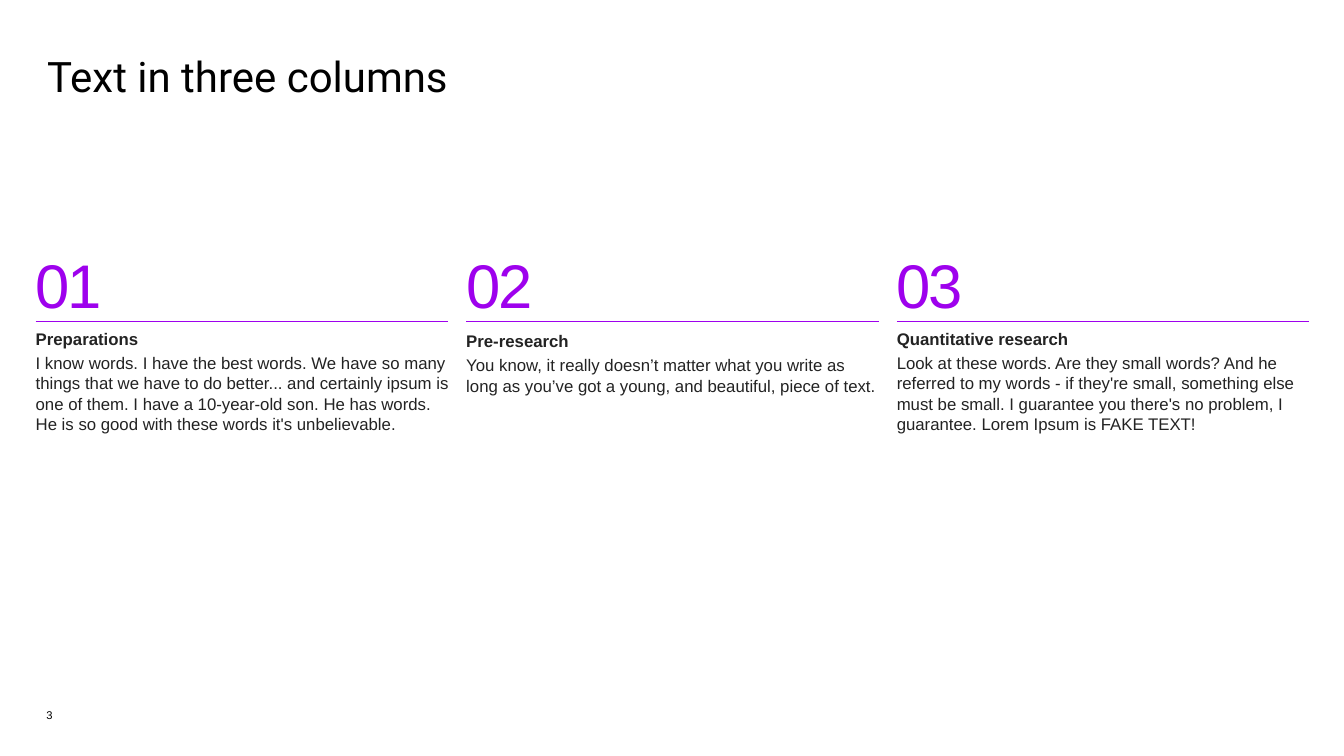
from dataclasses import dataclass
from typing import Optional

from lxml.etree import SubElement
from pptx import Presentation
from pptx.dml.color import RGBColor
from pptx.enum.shapes import MSO_CONNECTOR
from pptx.enum.text import MSO_ANCHOR, MSO_AUTO_SIZE, PP_ALIGN
from pptx.oxml.ns import qn
from pptx.slide import Slide
from pptx.text.text import TextFrame, _Paragraph as Paragraph, _Run as Run
from pptx.util import Cm, Pt

BLACK = RGBColor(0x00, 0x00, 0x00)
INK = RGBColor(0x23, 0x23, 0x23)
PURPLE = RGBColor(0x9E, 0x01, 0xED)

LEFT = 0.9
PITCH = 10.85
NUMBER_TOP = 6.22
RULE_TOP = 8.1
RULE_WIDTH = 10.39
BODY_TOP = 8.28
BODY_WIDTH = 10.46


@dataclass
class Column:
    heading: str
    body: str
    body_height: float
    heading_spacing: Optional[Pt] = None


COLUMNS = [
    Column(
        "Preparations",
        "I know words. I have the best words. We have so many things that we have "
        "to do better... and certainly ipsum is one of them. I have a 10-year-old "
        "son. He has words. He is so good with these words it's unbelievable.",
        3.71,
    ),
    Column(
        "Pre-research",
        "You know, it really doesn’t matter what you write as long as you’ve got "
        "a young, and beautiful, piece of text.",
        1.7,
        Pt(16),
    ),
    Column(
        "Quantitative research",
        "Look at these words. Are they small words? And he referred to my words - "
        "if they're small, something else must be small. I guarantee you there's "
        "no problem, I guarantee. Lorem Ipsum is FAKE TEXT!",
        2.67,
    ),
]


def clear_margins(tf: TextFrame) -> None:
    tf.margin_left = tf.margin_top = tf.margin_right = tf.margin_bottom = 0
    tf.vertical_anchor = MSO_ANCHOR.TOP
    tf.word_wrap = True


def write(p: Paragraph, text: str, size: float, color: RGBColor,
          bold: bool = False, font: str = "Arial") -> Run:
    p.text = text
    p.alignment = PP_ALIGN.LEFT
    r = p.runs[0]
    r.font.name = font
    r.font.size = Pt(size)
    r.font.bold = bold
    r.font.color.rgb = color
    return r


def add_text_box(s: Slide, left: float, top: float,
                 width: float, height: float) -> TextFrame:
    tf = s.shapes.add_textbox(Cm(left), Cm(top), Cm(width), Cm(height)).text_frame
    clear_margins(tf)
    return tf


def add_title(s: Slide, text: str) -> None:
    sp = s.shapes.title
    sp.left, sp.top, sp.width, sp.height = Cm(1.19), Cm(1.42), Cm(31.5), Cm(1.22)
    tf = sp.text_frame
    clear_margins(tf)
    tf.auto_size = MSO_AUTO_SIZE.NONE
    write(tf.paragraphs[0], text, 30, BLACK, font="Roboto")
    tf.paragraphs[0].line_spacing = 0.9


def add_rule(s: Slide, left: float) -> None:
    rule = s.shapes.add_connector(MSO_CONNECTOR.STRAIGHT, Cm(left), Cm(RULE_TOP),
                                  Cm(left + RULE_WIDTH), Cm(RULE_TOP))
    rule.line.color.rgb = PURPLE
    rule.line.width = Pt(0.5)
    SubElement(rule._element.spPr, qn("a:effectLst"))


def add_column(s: Slide, index: int, column: Column) -> None:
    left = LEFT + index * PITCH

    number = add_text_box(s, left, NUMBER_TOP, 2, 1.88)
    number.auto_size = MSO_AUTO_SIZE.SHAPE_TO_FIT_TEXT
    r = write(number.paragraphs[0], f"{index + 1:02d}", 44, PURPLE)
    r.font._element.set("spc", "-150")

    add_rule(s, left)

    tf = add_text_box(s, left, BODY_TOP, BODY_WIDTH, column.body_height)
    tf.auto_size = MSO_AUTO_SIZE.SHAPE_TO_FIT_TEXT
    heading = tf.paragraphs[0]
    write(heading, column.heading, 12, INK, bold=True)
    heading.line_spacing = column.heading_spacing
    body = tf.add_paragraph()
    write(body, column.body, 12, INK)
    body.space_before = Pt(3)


def main() -> None:
    prs = Presentation()
    prs.slide_width, prs.slide_height = Cm(33.87), Cm(19.05)
    s = prs.slides.add_slide(prs.slide_layouts[5])

    add_title(s, "Text in three columns")
    for index, column in enumerate(COLUMNS):
        add_column(s, index, column)
    page_number = add_text_box(s, 1.17, 17.86, 1.8, 0.5)
    write(page_number.paragraphs[0], "3", 8, BLACK)

    prs.save("out.pptx")


if __name__ == "__main__":
    main()
